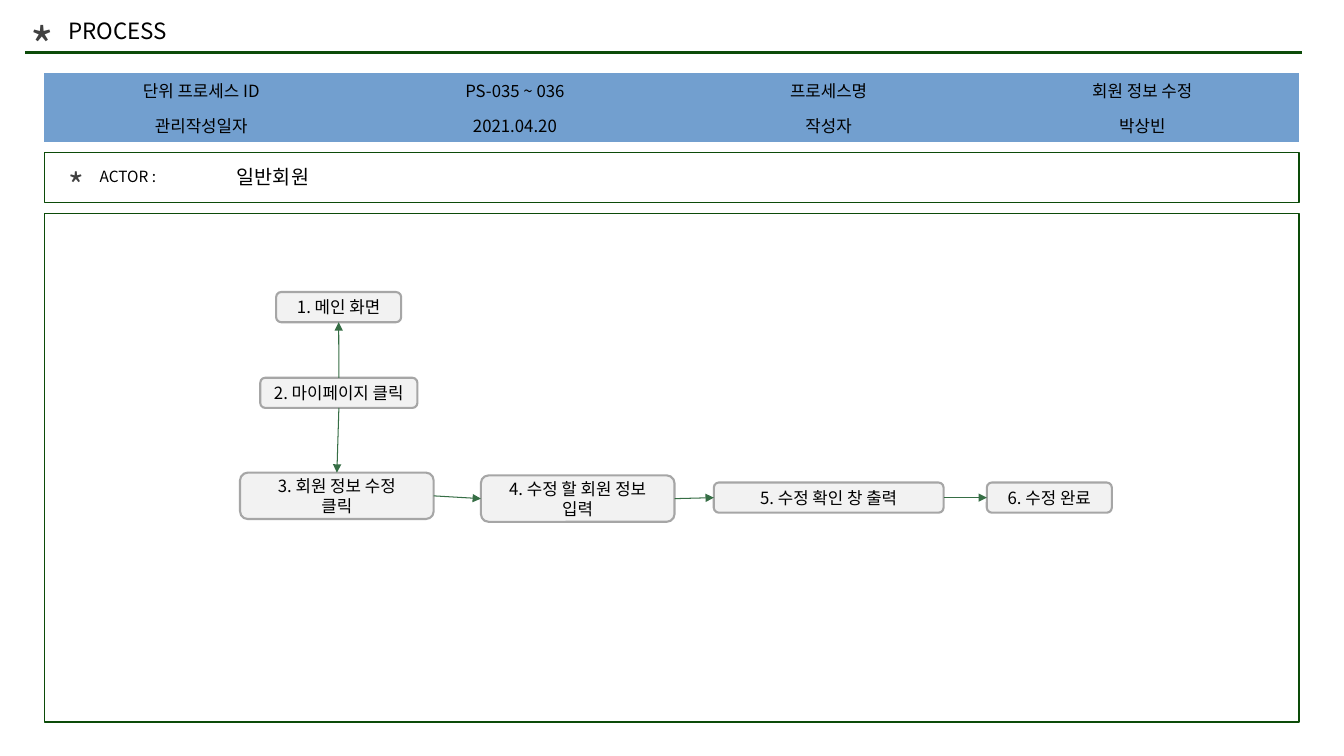
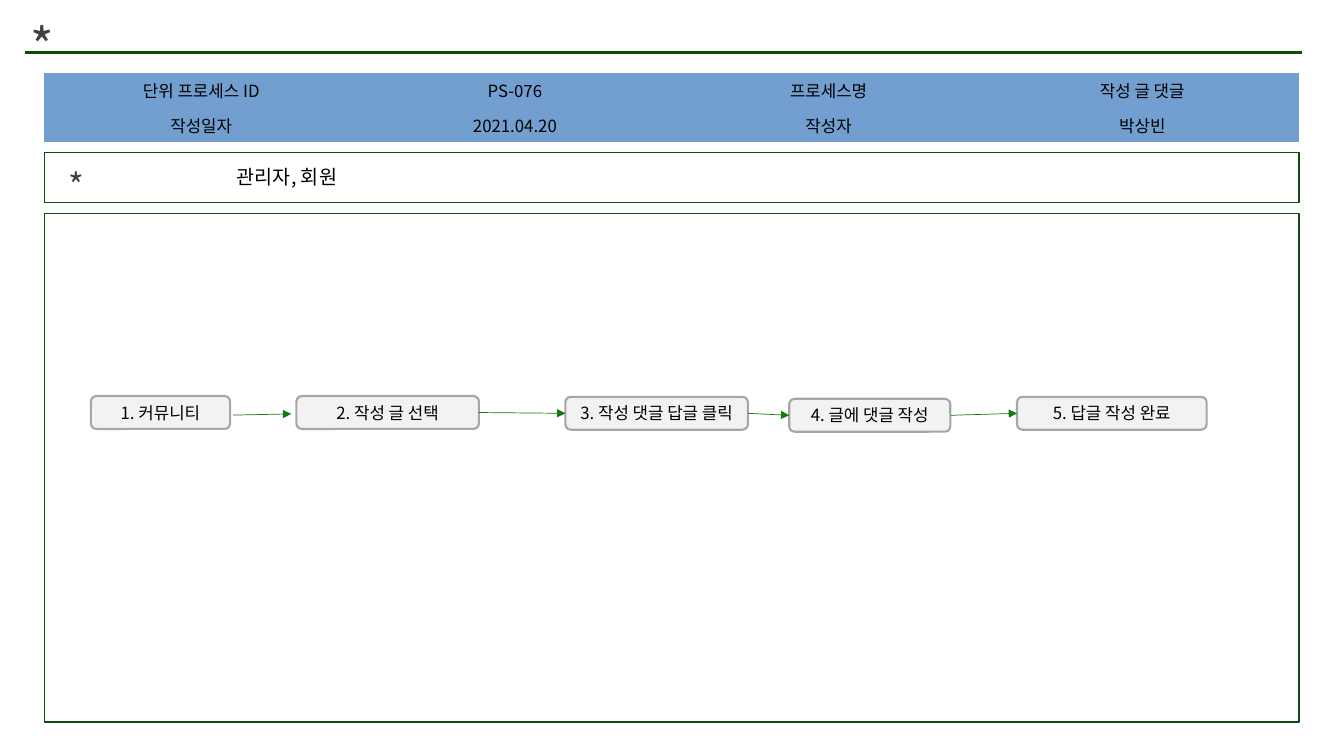
import pptx
import pptx.util
import pptx.dml.color
import pptx.enum.shapes
import pptx.enum.text
import pptx.oxml
import pptx.oxml.ns

Cm = pptx.util.Cm
Pt = pptx.util.Pt
SHAPES = pptx.enum.shapes.MSO_SHAPE
ALIGN = pptx.enum.text.PP_ALIGN
ANCHOR = pptx.enum.text.MSO_ANCHOR

FONT = "Noto Sans CJK KR"
COLORS = {
    "frame": "0C4B09",
    "star": "404040",
    "text": "000000",
    "table": "729FCF",
    "node": "F2F2F2",
    "node_line": "A6A6A6",
    "edit_arrow": "366E45",
    "reply_arrow": "147B0F",
}
NO_GRID_STYLE = "{2D5ABB26-0587-4C30-8999-92F81FD0307C}"
TOP, LEFT, BOTTOM, RIGHT = range(4)

HEADER_BOX = (0.64, 0.25, 32.18, 1.07)
TABLE_BOX = (1.12, 1.84, 31.62, 1.74)
ACTOR_BOX = (1.12, 3.84, 31.62, 1.27)
FLOW_BOX = (1.12, 5.38, 31.62, 12.82)

PAGES = [
    {
        "title": "PROCESS",
        "rows": [
            ["단위 프로세스 ID", "PS-035 ~ 036", "프로세스명", "회원 정보 수정"],
            ["관리작성일자", "2021.04.20", "작성자", "박상빈"],
        ],
        "label": "ACTOR :",
        "actor": "일반회원",
        "nodes": [
            ("1. 메인 화면", 5.84, 1.98, 3.15, 0.76),
            ("2. 마이페이지 클릭", 5.44, 4.14, 3.96, 0.76),
            ("3. 회원 정보 수정\n클릭", 4.93, 6.53, 4.88, 1.17),
            ("4. 수정 할 회원 정보\n입력", 11, 6.6, 4.88, 1.17),
            ("5. 수정 확인 창 출력", 16.87, 6.78, 5.79, 0.76),
            ("6. 수정 완료", 23.75, 6.78, 3.15, 0.76),
        ],
        "links": [
            (2, TOP, 1, BOTTOM),
            (2, BOTTOM, 3, TOP),
            (3, RIGHT, 4, LEFT),
            (4, RIGHT, 5, LEFT),
            (5, RIGHT, 6, LEFT),
        ],
        "loose_arrows": [],
        "arrow": ("edit_arrow", 0.75),
    },
    {
        "title": "",
        "rows": [
            ["단위 프로세스 ID", "PS-076", "프로세스명", "작성 글 댓글"],
            ["작성일자", "2021.04.20", "작성자", "박상빈"],
        ],
        "label": "",
        "actor": "관리자, 회원",
        "nodes": [
            ("1. 커뮤니티", 1.17, 4.6, 3.51, 0.83),
            ("2. 작성 글 선택", 6.35, 4.6, 4.6, 0.83),
            ("3. 작성 댓글 답글 클릭", 13.13, 4.62, 4.6, 0.83),
            ("4. 글에 댓글 작성", 18.77, 4.67, 4.06, 0.83),
            ("5. 답글 작성 완료", 24.51, 4.62, 4.78, 0.83),
        ],
        "links": [
            (2, RIGHT, 3, LEFT),
            (3, RIGHT, 4, LEFT),
            (4, RIGHT, 5, LEFT),
        ],
        "loose_arrows": [(4.75, 5.08, 6.22, 5.05)],
        "arrow": ("reply_arrow", 0.5),
    },
]


def rgb(name):
    """Return the named colour."""
    return pptx.dml.color.RGBColor.from_string(COLORS[name])


def style_text(frame, size, color="text", align=ALIGN.LEFT):
    """Set the font and alignment of every paragraph in a text frame."""
    for para in frame.paragraphs:
        para.alignment = align
        font = para.font
        font.size = Pt(size)
        font.name = FONT
        font.color.rgb = rgb(color)
        east_asian = pptx.oxml.parse_xml(
            f'<a:ea {pptx.oxml.ns.nsdecls("a")} typeface="{FONT}"/>')
        font._element.append(east_asian)


def add_label(page, text, left, top, width, height, size, color="text"):
    """Add a text box, unless there is no text."""
    if not text:
        return
    box = page.shapes.add_textbox(Cm(left), Cm(top), Cm(width), Cm(height))
    box.text_frame.word_wrap = True
    box.text_frame.text = text
    style_text(box.text_frame, size, color)


def add_panel(page, left, top, width, height):
    """Add an unfilled green frame."""
    panel = page.shapes.add_shape(
        SHAPES.RECTANGLE, Cm(left), Cm(top), Cm(width), Cm(height))
    panel.shadow.inherit = False
    panel.fill.background()
    panel.line.color.rgb = rgb("frame")
    panel.line.width = Pt(1)


def add_line(page, x1, y1, x2, y2, color, width):
    """Add a straight line without a shadow."""
    line = page.shapes.add_connector(
        pptx.enum.shapes.MSO_CONNECTOR.STRAIGHT, Cm(x1), Cm(y1), Cm(x2), Cm(y2))
    line.line.color.rgb = rgb(color)
    line.line.width = Pt(width)
    line._element.spPr.append(pptx.oxml.parse_xml(
        f'<a:effectLst {pptx.oxml.ns.nsdecls("a")}/>'))
    return line


def add_arrow(page, points, color, width):
    """Add a line with a triangle at its end."""
    arrow = add_line(page, *points, color, width)
    outline = arrow.line._get_or_add_ln()
    outline.append(pptx.oxml.parse_xml(
        f'<a:tailEnd {pptx.oxml.ns.nsdecls("a")} type="triangle"/>'))
    return arrow


def add_header(page, box, title):
    """Add the star, the title and the rule below them."""
    left, top, width, height = box
    add_line(page, left, top + height, left + width, top + height, "frame", 2.25)
    add_label(page, "*", left - 0.13, top, 1.32, 1.98, 36, "star")
    add_label(page, title, left + 0.83, top + 0.05, 10.97, 1.02, 16)


def add_summary(page, box, rows):
    """Add the table that identifies the process."""
    shape = page.shapes.add_table(len(rows), len(rows[0]), *map(Cm, box))
    style_id = next(shape._element.iter(pptx.oxml.ns.qn("a:tableStyleId")))
    style_id.text = NO_GRID_STYLE
    table = shape.table
    table.first_row = table.horz_banding = False
    for row, texts in enumerate(rows):
        for column, text in enumerate(texts):
            cell = table.cell(row, column)
            cell.text = text
            cell.fill.solid()
            cell.fill.fore_color.rgb = rgb("table")
            style_text(cell.text_frame, 12, align=ALIGN.CENTER)


def add_actor(page, box, label, actor):
    """Add the framed strip that names the actor."""
    left, top = box[:2]
    add_label(page, "*", left + 0.36, top + 0.2, 1.32, 1.4, 24, "star")
    add_label(page, label, left + 1.14, top + 0.25, 3.38, 0.79, 11)
    add_panel(page, *box)
    add_label(page, actor, left + 4.6, top + 0.18, 10.97, 0.97, 14)


def add_node(page, text, left, top, width, height):
    """Add one step of the process."""
    node = page.shapes.add_shape(
        SHAPES.ROUNDED_RECTANGLE, Cm(left), Cm(top), Cm(width), Cm(height))
    node.shadow.inherit = False
    node.fill.solid()
    node.fill.fore_color.rgb = rgb("node")
    node.line.color.rgb = rgb("node_line")
    node.line.width = Pt(1.5)
    frame = node.text_frame
    frame.margin_left = frame.margin_right = Cm(0.1)
    frame.margin_top = frame.margin_bottom = Cm(0.1)
    frame.vertical_anchor = ANCHOR.MIDDLE
    frame.word_wrap = True
    frame.text = text
    style_text(frame, 12, align=ALIGN.CENTER)
    return node


def add_flow(page, box, content):
    """Add the framed flow chart with its steps and arrows."""
    left, top = box[:2]
    add_panel(page, *box)
    nodes = [add_node(page, text, left + x, top + y, width, height)
             for text, x, y, width, height in content["nodes"]]
    for start, start_side, end, end_side in content["links"]:
        arrow = add_arrow(page, (0, 0, 0, 0), *content["arrow"])
        arrow.begin_connect(nodes[start - 1], start_side)
        arrow.end_connect(nodes[end - 1], end_side)
    for x1, y1, x2, y2 in content["loose_arrows"]:
        points = (left + x1, top + y1, left + x2, top + y2)
        add_arrow(page, points, *content["arrow"])


def add_process_page(deck, content):
    """Add one process slide."""
    page = deck.slides.add_slide(deck.slide_layouts[6])
    add_header(page, HEADER_BOX, content["title"])
    add_summary(page, TABLE_BOX, content["rows"])
    add_actor(page, ACTOR_BOX, content["label"], content["actor"])
    add_flow(page, FLOW_BOX, content)


def main():
    """Build and save the deck."""
    deck = pptx.Presentation()
    deck.slide_width, deck.slide_height = Cm(33.87), Cm(19.05)
    for content in PAGES:
        add_process_page(deck, content)
    deck.save("out.pptx")


if __name__ == "__main__":
    main()
